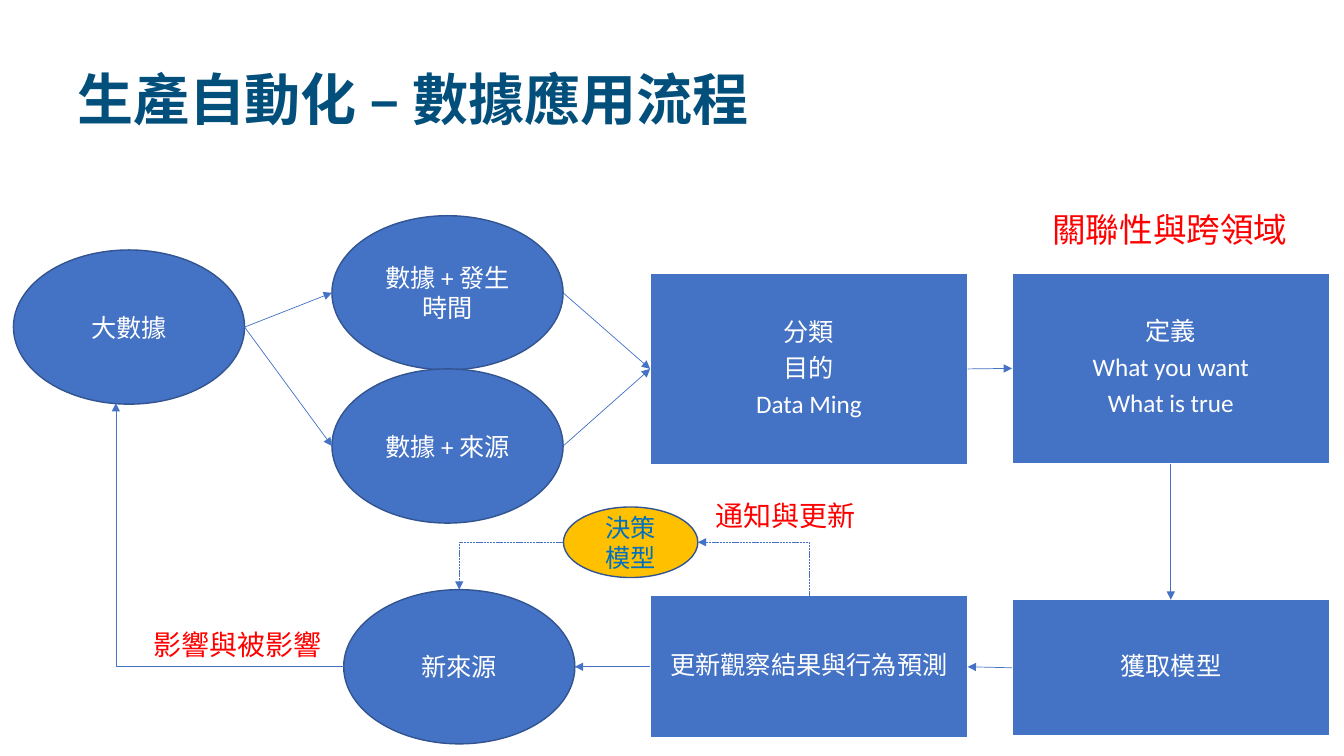
import pptx
import pptx.util
import pptx.dml.color
import pptx.enum.dml
import pptx.enum.shapes
import pptx.enum.text
import pptx.oxml
import pptx.oxml.ns

COLORS = {"navy": "024F7C", "blue": "4472C4", "edge": "325491", "white": "FFFFFF",
          "red": "FF0000", "amber": "FFC000", "azure": "0070C0"}
COLUMNS, ROWS = 40, 30
TOP, LEFT, BOTTOM, RIGHT = range(4)
SHAPES = pptx.enum.shapes.MSO_SHAPE
CONNECTORS = pptx.enum.shapes.MSO_CONNECTOR
CENTER = pptx.enum.text.PP_ALIGN.CENTER
MIDDLE = pptx.enum.text.MSO_ANCHOR.MIDDLE


def rgb(name):
    return pptx.dml.color.RGBColor.from_string(COLORS[name])


class FlowSlide:
    """Draws flow chart elements on a grid of columns and rows."""

    def __init__(self, deck):
        self.slide = deck.slides.add_slide(deck.slide_layouts[6])
        self.column = deck.slide_width / COLUMNS
        self.row = deck.slide_height / ROWS

    def place(self, x, y):
        return round(x * self.column), round(y * self.row)

    def set_text(self, frame, lines, size, color, font="Calibri", bold=False,
                 align=None, spacing=None, after=None):
        for number, line in enumerate(lines):
            paragraph = frame.paragraphs[0] if number == 0 else frame.add_paragraph()
            paragraph.text = line
            paragraph.alignment = align
            paragraph.line_spacing = spacing
            if after:
                paragraph.space_after = pptx.util.Pt(after)
            paragraph.font.size = pptx.util.Pt(size)
            paragraph.font.name = font
            paragraph.font.bold = bold
            paragraph.font.color.rgb = rgb(color)

    def label(self, x, y, w, h, text, size, color="red", wrap=False, anchor=None, **style):
        box = self.slide.shapes.add_textbox(*self.place(x, y), *self.place(w, h))
        box.text_frame.word_wrap = wrap
        box.text_frame.vertical_anchor = anchor
        self.set_text(box.text_frame, [text], size, color, **style)

    def node(self, kind, x, y, w, h, lines, fill, edge, color, **style):
        node = self.slide.shapes.add_shape(kind, *self.place(x, y), *self.place(w, h))
        node.shadow.inherit = False
        node.fill.solid()
        node.fill.fore_color.rgb = rgb(fill)
        node.line.color.rgb = rgb(edge)
        node.line.width = pptx.util.Pt(1)
        node.text_frame.word_wrap = True
        node.text_frame.vertical_anchor = MIDDLE
        self.set_text(node.text_frame, lines, 18, color, align=CENTER, **style)
        return node

    def oval(self, x, y, text, w=6.88, h=6.12, fill="blue", color="white"):
        return self.node(SHAPES.OVAL, x, y, w, h, [text], fill, "edge", color)

    def step(self, x, y, h, *lines):
        step = self.node(SHAPES.RECTANGLE, x, y, 9.45, h, lines, "blue", "white",
                         "white", spacing=0.9, after=6.3)
        frame = step.text_frame
        frame.margin_left = frame.margin_right = pptx.util.Inches(0.19)
        frame.margin_top = frame.margin_bottom = pptx.util.Inches(0.19)
        return step

    def side(self, node, side):
        across = {LEFT: 0, RIGHT: 1}.get(side, 0.5)
        down = {TOP: 0, BOTTOM: 1}.get(side, 0.5)
        return round(node.left + across * node.width), round(node.top + down * node.height)

    def connector(self, kind, start, end, dashed=False):
        connector = self.slide.shapes.add_connector(kind, *start, *end)
        connector.line.color.rgb = rgb("blue")
        connector.line.width = pptx.util.Pt(0.5)
        if dashed:
            connector.line.dash_style = pptx.enum.dml.MSO_LINE.SQUARE_DOT
        properties = connector._element.spPr
        outline = properties.find(pptx.oxml.ns.qn("a:ln"))
        namespace = pptx.oxml.ns.nsdecls("a")
        outline.append(pptx.oxml.parse_xml(f'<a:tailEnd {namespace} type="triangle"/>'))
        properties.append(pptx.oxml.parse_xml(f"<a:effectLst {namespace}/>"))
        return connector

    def arrow(self, source, leaving, target, entering):
        arrow = self.connector(CONNECTORS.STRAIGHT, self.side(source, leaving),
                               self.side(target, entering))
        if source.auto_shape_type == SHAPES.RECTANGLE:
            arrow.begin_connect(source, leaving)
        if target.auto_shape_type == SHAPES.RECTANGLE:
            arrow.end_connect(target, entering)

    def elbow(self, start, end, dashed=False, up_first=False):
        """One bend: sideways first, or up and then left."""
        if up_first:
            # The unturned frame has its width and height swapped about the centre
            middle_x, middle_y = (start[0] + end[0]) // 2, (start[1] + end[1]) // 2
            half_x, half_y = (start[1] - end[1]) // 2, (start[0] - end[0]) // 2
            start = middle_x - half_x, middle_y + half_y
            end = middle_x + half_x, middle_y - half_y
        elbow = self.connector(CONNECTORS.ELBOW, start, end, dashed)
        properties = elbow._element.spPr
        properties.find(pptx.oxml.ns.qn("a:prstGeom")).set("prst", "bentConnector2")
        if up_first:
            properties.find(pptx.oxml.ns.qn("a:xfrm")).set("rot", str(270 * 60000))


def main():
    deck = pptx.Presentation()
    deck.slide_width = pptx.util.Inches(13.33)
    deck.slide_height = pptx.util.Inches(7.5)
    flow = FlowSlide(deck)

    # Title
    flow.label(2, 2.6, 34.5, 2.96, "生產自動化 – 數據應用流程", 40, "navy", wrap=True,
               anchor=MIDDLE, font="Arial", bold=True, spacing=0.9)

    # Data sources
    big_data = flow.oval(0.4, 9.92, "大數據")
    data_time = flow.oval(9.88, 8.56, "數據 + 發生時間")
    data_origin = flow.oval(9.88, 14.64, "數據 + 來源")
    new_source = flow.oval(10.23, 23.4, "新來源")
    decision = flow.oval(16.77, 20.12, "決策模型", 4, 2.8, "amber", "azure")

    # Processing steps
    classify = flow.step(19.35, 10.84, 7.6, "分類", "目的", "Data Ming")
    define = flow.step(30.12, 10.84, 7.56, "定義", "What you want", "What is true")
    model = flow.step(30.12, 23.8, 5.4, "獲取模型")
    update = flow.step(19.35, 23.64, 5.64, "更新觀察結果與行為預測")

    # Main flow
    for source, leaving, target, entering in (
            (big_data, RIGHT, data_time, LEFT),
            (big_data, RIGHT, data_origin, LEFT),
            (data_time, RIGHT, classify, LEFT),
            (data_origin, RIGHT, classify, LEFT),
            (classify, RIGHT, define, LEFT),
            (define, BOTTOM, model, TOP),
            (model, LEFT, update, RIGHT),
            (update, LEFT, new_source, RIGHT)):
        flow.arrow(source, leaving, target, entering)

    # Feedback loops
    flow.elbow(flow.side(new_source, LEFT), flow.place(3.45, 16))
    flow.elbow(flow.side(update, TOP), flow.side(decision, RIGHT), dashed=True, up_first=True)
    flow.elbow(flow.side(decision, LEFT), flow.side(new_source, TOP), dashed=True)

    # Red remarks
    flow.label(4.26, 24.72, 5.64, 1.76, "影響與被影響", 20)
    flow.label(31.02, 8.08, 7.68, 2, "關聯性與跨領域", 24)
    flow.label(21, 19.6, 5.13, 1.76, "通知與更新", 20, wrap=True)

    deck.save("out.pptx")


if __name__ == "__main__":
    main()
